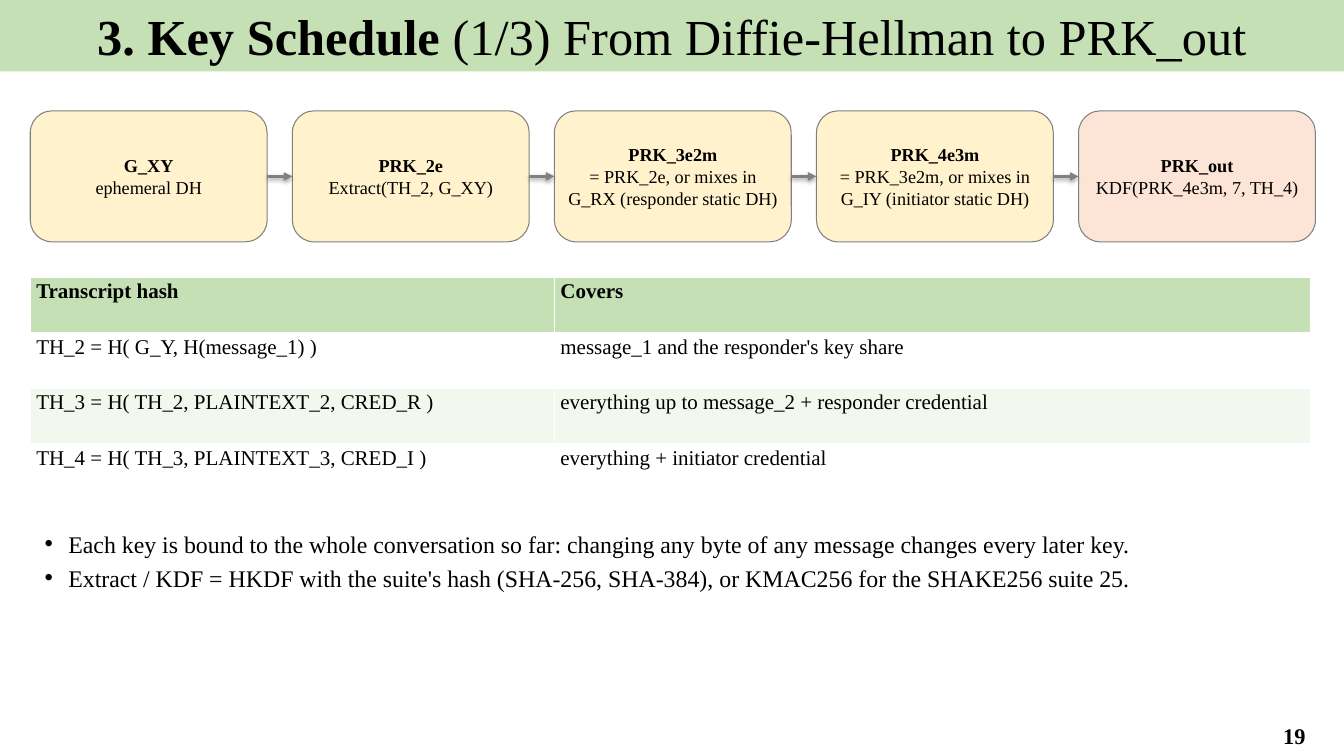
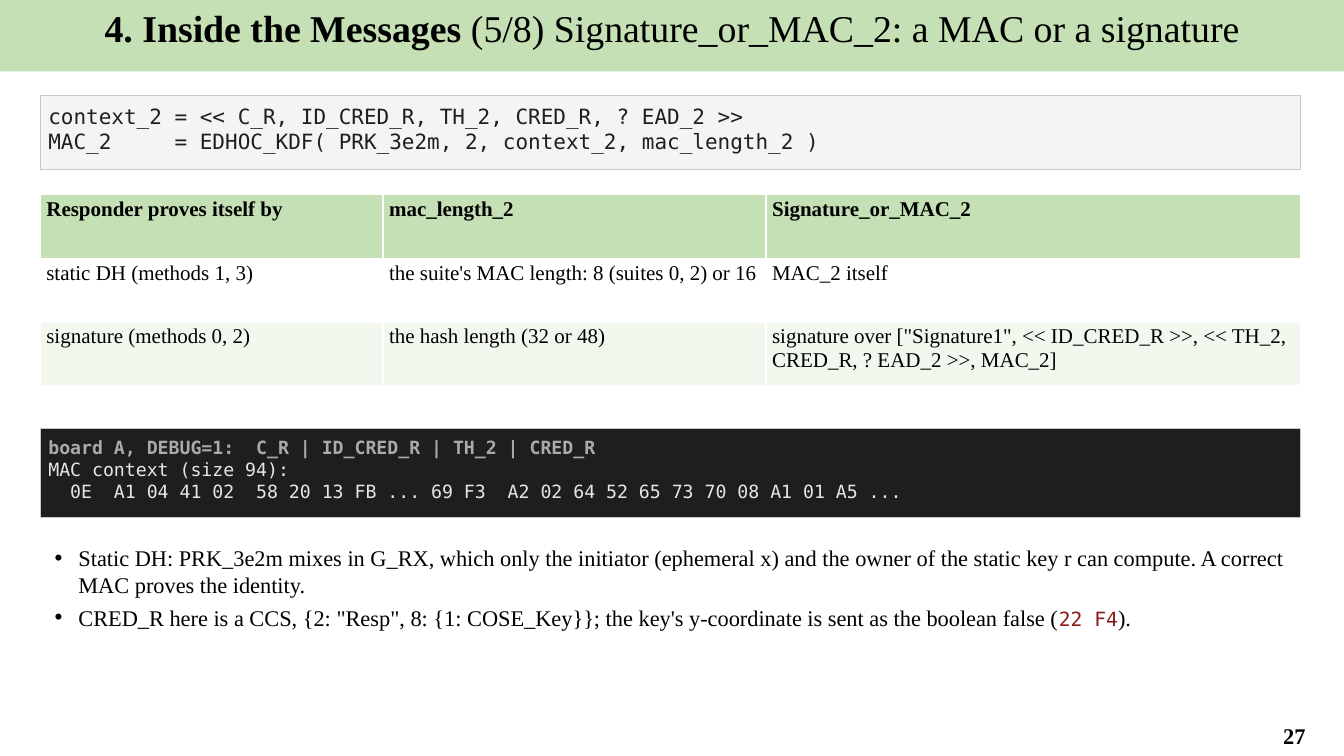
from dataclasses import dataclass, replace

from pptx import Presentation
from pptx.dml.color import RGBColor
from pptx.enum.shapes import MSO_CONNECTOR as Connector, MSO_SHAPE as Preset
from pptx.enum.text import MSO_ANCHOR as Anchor, MSO_AUTO_SIZE as AutoSize, PP_ALIGN as Align
from pptx.oxml import parse_xml
from pptx.oxml.ns import nsdecls
from pptx.util import Pt

SERIF, MONO = "Times New Roman", "DejaVu Sans Mono"
BLACK, WHITE, GREEN, PALE_GREEN = "000000", "FFFFFF", "C5E0B4", "F2F8EE"
YELLOW, PEACH, GREY, EDGE = "FFF2CC", "FCE4D6", "808080", "C8C8C8"
SLIDE_WIDTH, SLIDE_HEIGHT, BAND_HEIGHT = 960, 540, 51
LEFT, TOP, RIGHT, BOTTOM = 7.2, 3.6, 7.2, 3.6


@dataclass(frozen=True)
class Area:
    left: float
    top: float
    width: float
    height: float

    def lengths(self) -> tuple:
        return Pt(self.left), Pt(self.top), Pt(self.width), Pt(self.height)


@dataclass(frozen=True)
class Span:
    text: str
    size: float
    bold: bool = False
    font: str = SERIF
    color: str = BLACK


@dataclass(frozen=True)
class KeyStep:
    name: str
    details: tuple[str, ...]
    fill: str = YELLOW


@dataclass(frozen=True)
class CodePanel:
    area: Area
    fill: str
    lines: tuple[Span, ...]


def rgb(color: str) -> RGBColor:
    return RGBColor.from_string(color)


def add_text(para, text: str, *, size: float, bold: bool = False,
             font: str = SERIF, color: str = BLACK) -> None:
    run = para.add_run()
    run.text = text
    run.font.size, run.font.bold, run.font.name = Pt(size), bold, font
    run.font.color.rgb = rgb(color)


def fill_frame(frame, paragraphs, *, align=Align.LEFT, anchor=Anchor.TOP,
               insets=(LEFT, TOP, RIGHT, BOTTOM), space_after: float = 0) -> None:
    """Write one paragraph for each sequence of spans."""
    frame.auto_size, frame.word_wrap = AutoSize.NONE, True
    frame.vertical_anchor = anchor
    (frame.margin_left, frame.margin_top,
     frame.margin_right, frame.margin_bottom) = map(Pt, insets)
    for index, spans in enumerate(paragraphs):
        para = frame.paragraphs[0] if index == 0 else frame.add_paragraph()
        para.alignment = align
        para.space_before, para.space_after = Pt(0), Pt(space_after)
        for span in spans:
            add_text(para, span.text, size=span.size, bold=span.bold,
                     font=span.font, color=span.color)


def place(shape, area: Area) -> None:
    shape.left, shape.top, shape.width, shape.height = area.lengths()


def add_box(page, preset, area: Area, fill: str, line: str):
    box = page.shapes.add_shape(preset, *area.lengths())
    box.shadow.inherit = False
    box.fill.solid()
    box.fill.fore_color.rgb = rgb(fill)
    box.line.color.rgb = rgb(line)
    box.line.width = Pt(0.75)
    return box


def add_page(deck, section: str, topic: str, size: float, number: int):
    """Add a slide with its green title band and page number."""
    page = deck.slides.add_slide(deck.slide_layouts[1])
    title = page.shapes.title
    place(title, Area(0, 0, SLIDE_WIDTH, BAND_HEIGHT))
    title.fill.solid()
    title.fill.fore_color.rgb = rgb(GREEN)
    fill_frame(title.text_frame, [(Span(section, size, True), Span(topic, size))],
               align=Align.CENTER)
    number_box = page.shapes.add_textbox(*Area(889.2, 511.2, 70.8, 28).lengths())
    fill_frame(number_box.text_frame, [(Span(str(number), 16, True),)],
               align=Align.CENTER, anchor=Anchor.MIDDLE)
    return page


def add_bullets(page, area: Area, items) -> None:
    body = page.placeholders[1]
    place(body, area)
    fill_frame(body.text_frame, items, space_after=4)
    for para in body.text_frame.paragraphs:
        properties = para._p.get_or_add_pPr()
        properties.set("marL", str(Pt(20)))
        properties.set("indent", str(Pt(-17)))


def add_grid(page, left: float, top: float, widths, row_height: float, rows) -> None:
    """Add a table with a green header and alternating row fills."""
    area = Area(left, top, sum(widths), row_height * len(rows))
    table = page.shapes.add_table(len(rows), len(widths), *area.lengths()).table
    for column, width in zip(table.columns, widths):
        column.width = Pt(width)
    for row_index, values in enumerate(rows):
        header = row_index == 0
        fill = GREEN if header else (PALE_GREEN, WHITE)[row_index % 2]
        for column_index, value in enumerate(values):
            cell = table.cell(row_index, column_index)
            cell.fill.solid()
            cell.fill.fore_color.rgb = rgb(fill)
            cell.margin_left = cell.margin_right = Pt(4.32)
            cell.margin_top = cell.margin_bottom = Pt(2.16)
            add_text(cell.text_frame.paragraphs[0], value, size=15, bold=header)


def add_arrow(page, source, target) -> None:
    """Join the right side of source to the left side of target."""
    arrow = page.shapes.add_connector(Connector.STRAIGHT, 0, 0, 0, 0)
    arrow.begin_connect(source, 3)
    arrow.end_connect(target, 1)
    arrow.line.color.rgb = rgb(GREY)
    arrow.line.width = Pt(2)
    arrow.line._get_or_add_ln().append(
        parse_xml(f'<a:tailEnd {nsdecls("a")} type="triangle"/>'))


def add_key_chain(page, steps, first: Area, gap: float) -> None:
    previous = None
    for index, step in enumerate(steps):
        area = replace(first, left=first.left + index * (first.width + gap))
        box = add_box(page, Preset.ROUNDED_RECTANGLE, area, step.fill, GREY)
        lines = [(Span(step.name, 13, True),)] + [(Span(text, 13),) for text in step.details]
        fill_frame(box.text_frame, lines, align=Align.CENTER, anchor=Anchor.MIDDLE,
                   insets=(2.88,) * 4)
        if previous is not None:
            add_arrow(page, previous, box)
        previous = box


def add_code(page, panel: CodePanel) -> None:
    box = add_box(page, Preset.RECTANGLE, panel.area, panel.fill, EDGE)
    fill_frame(box.text_frame, [(line,) for line in panel.lines], insets=(5.76,) * 4)


def build_key_schedule(deck) -> None:
    page = add_page(deck, "3. Key Schedule ", "(1/3) From Diffie-Hellman to PRK_out", 36, 19)
    left = 21.6
    steps = (
        KeyStep("G_XY", ("ephemeral DH",)),
        KeyStep("PRK_2e", ("Extract(TH_2, G_XY)",)),
        KeyStep("PRK_3e2m", ("= PRK_2e, or mixes in", "G_RX (responder static DH)")),
        KeyStep("PRK_4e3m", ("= PRK_3e2m, or mixes in", "G_IY (initiator static DH)")),
        KeyStep("PRK_out", ("KDF(PRK_4e3m, 7, TH_4)",), PEACH),
    )
    add_key_chain(page, steps, Area(left, 79.2, 169.2, 93.6), 18)
    add_grid(page, left, 198, (374.4, 540), 39.6, (
        ("Transcript hash", "Covers"),
        ("TH_2 = H( G_Y, H(message_1) )", "message_1 and the responder's key share"),
        ("TH_3 = H( TH_2, PLAINTEXT_2, CRED_R )",
         "everything up to message_2 + responder credential"),
        ("TH_4 = H( TH_3, PLAINTEXT_3, CRED_I )", "everything + initiator credential"),
    ))
    add_bullets(page, Area(left, 374.4, 914.4, 122.4), (
        (Span("Each key is bound to the whole conversation so far: changing any byte "
              "of any message changes every later key.", 17),),
        (Span("Extract / KDF = HKDF with the suite's hash (SHA-256, SHA-384), "
              "or KMAC256 for the SHAKE256 suite 25.", 17),),
    ))


def build_signature_or_mac(deck) -> None:
    page = add_page(deck, "4. Inside the Messages ",
                    "(5/8) Signature_or_MAC_2: a MAC or a signature", 27, 27)
    left, width = 28.8, 900
    formula = Span("context_2 = << C_R, ID_CRED_R, TH_2, CRED_R, ? EAD_2 >>",
                   15, font=MONO, color="1F1F1F")
    add_code(page, CodePanel(Area(left, 68.4, width, 52.6), "F4F4F4", (
        formula,
        replace(formula, text="MAC_2     = EDHOC_KDF( PRK_3e2m, 2, context_2, mac_length_2 )"),
    )))
    add_grid(page, left, 139, (244.8, 273.6, 381.6), 45.6, (
        ("Responder proves itself by", "mac_length_2", "Signature_or_MAC_2"),
        ("static DH (methods 1, 3)", "the suite's MAC length: 8 (suites 0, 2) or 16",
         "MAC_2 itself"),
        ("signature (methods 0, 2)", "the hash length (32 or 48)",
         'signature over ["Signature1", << ID_CRED_R >>, << TH_2, CRED_R, ? EAD_2 >>, MAC_2]'),
    ))
    output = Span("MAC context (size 94):", 13, font=MONO, color="E6E6E6")
    add_code(page, CodePanel(Area(left, 306, width, 63.4), "1E1E1E", (
        Span("board A, DEBUG=1:  C_R | ID_CRED_R | TH_2 | CRED_R", 13, True, MONO, "AAAAAA"),
        output,
        replace(output, text="  0E  A1 04 41 02  58 20 13 FB ... 69 F3  "
                             "A2 02 64 52 65 73 70 08 A1 01 A5 ..."),
    )))
    add_bullets(page, Area(left, 385.2, width, 115.2), (
        (Span("Static DH: PRK_3e2m mixes in G_RX, which only the initiator (ephemeral x) and "
              "the owner of the static key r can compute. A correct MAC proves the identity.",
              16),),
        (Span('CRED_R here is a CCS, {2: "Resp", 8: {1: COSE_Key}}; the key\'s y-coordinate '
              "is sent as the boolean false (", 16),
         Span("22 F4", 14, font=MONO, color="8B1A1A"),
         Span(").", 16)),
    ))


def main() -> None:
    deck = Presentation()
    deck.slide_width, deck.slide_height = Pt(SLIDE_WIDTH), Pt(SLIDE_HEIGHT)
    build_key_schedule(deck)
    build_signature_or_mac(deck)
    deck.save("out.pptx")


if __name__ == "__main__":
    main()
